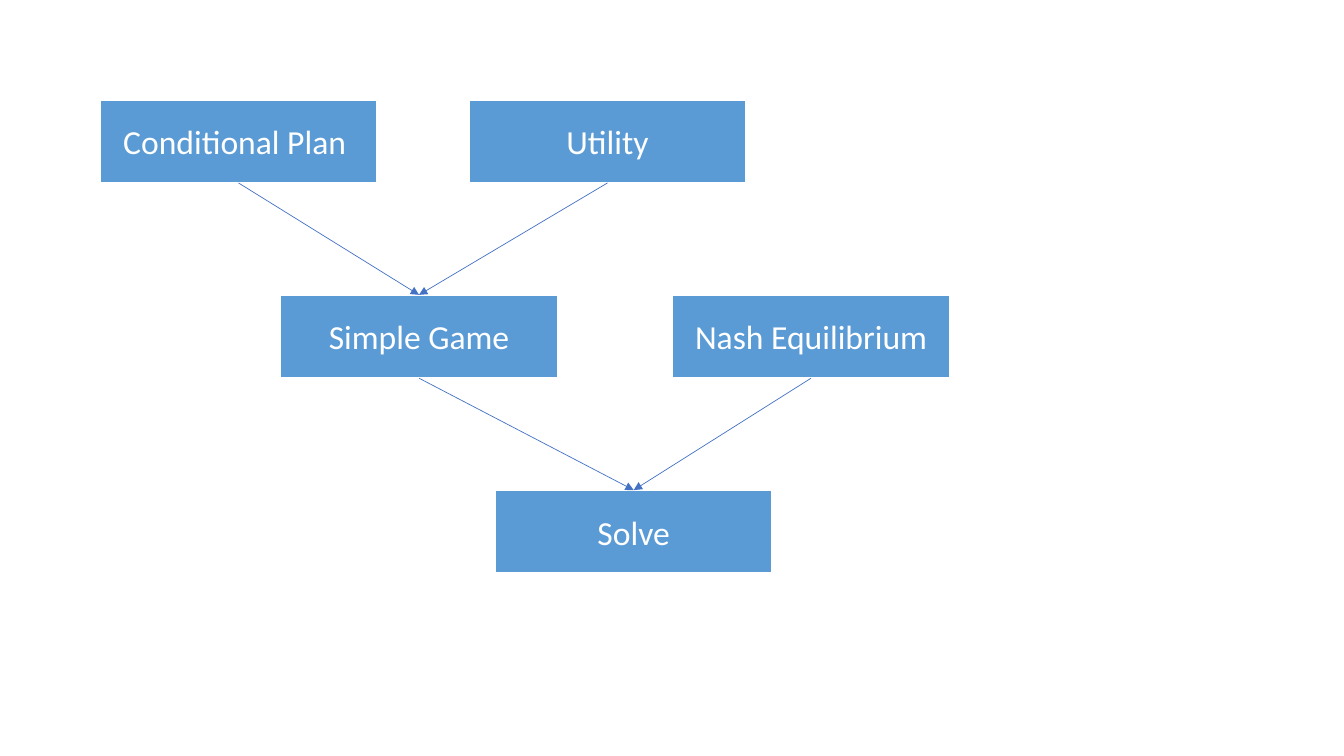
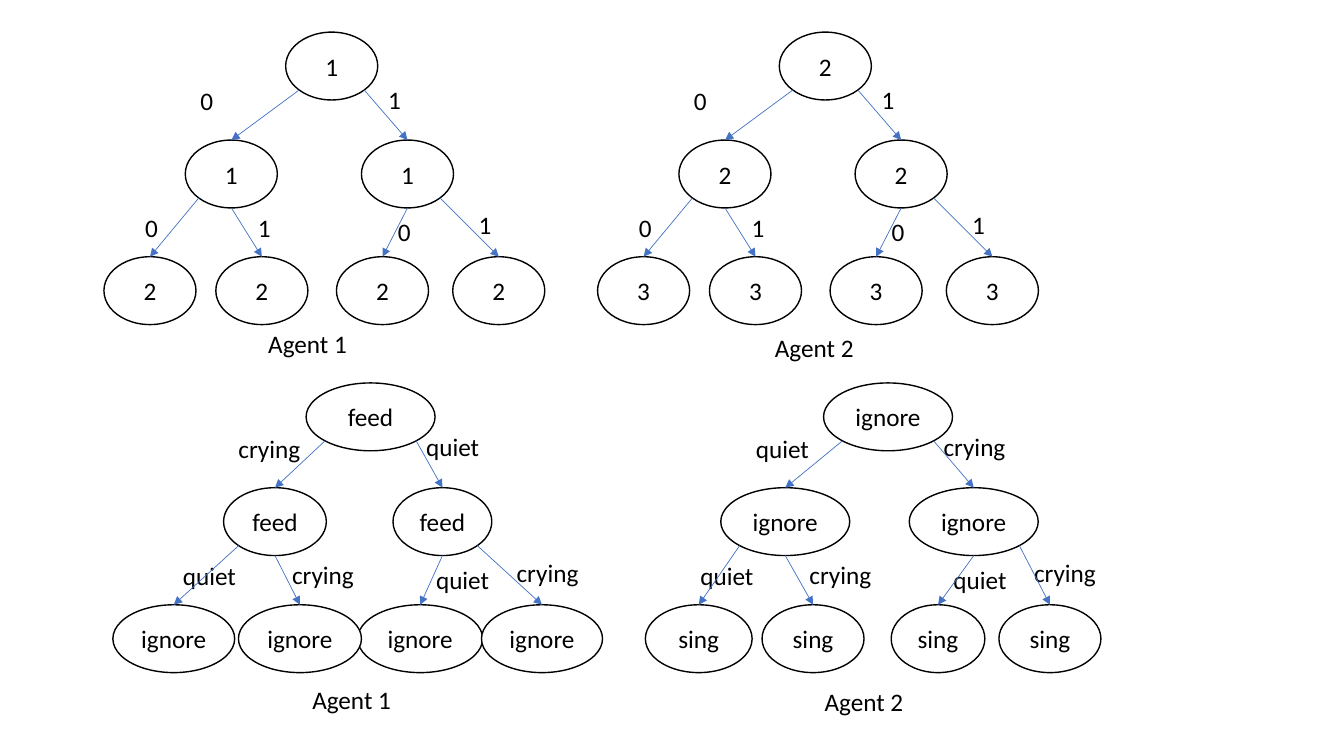
from math import sqrt

from pptx import Presentation
from pptx import util as u
from pptx.dml.color import RGBColor
from pptx.enum import shapes, text
from pptx.oxml import parse_xml
from pptx.oxml.ns import nsdecls

FONT = "Calibri"
WHITE, BLACK, BLUE, EDGE = "FFFFFF", "000000", "5B9BD5", "4472C4"
RECT, OVAL = shapes.MSO_SHAPE.RECTANGLE, shapes.MSO_SHAPE.OVAL


def tint(part, code):
    part.rgb = RGBColor.from_string(code)


def write(frame, words, size=18, color=BLACK, align=text.PP_ALIGN.LEFT,
          anchor=text.MSO_ANCHOR.TOP):
    frame.word_wrap = True
    frame.vertical_anchor = anchor
    para = frame.paragraphs[0]
    para.alignment = align
    run = para.add_run()
    run.text = words
    run.font.name, run.font.size = FONT, u.Pt(size)
    tint(run.font.color, color)


def label(slide, words, left, top):
    box = slide.shapes.add_textbox(u.Cm(left), u.Cm(top), u.Cm(3), u.Cm(1.03))
    write(box.text_frame, words)


def node(slide, kind, words, left, top, wide, high, fill, line, weight, **form):
    shape = slide.shapes.add_shape(
        kind, u.Cm(left), u.Cm(top), u.Cm(wide), u.Cm(high))
    shape.shadow.inherit = False
    shape.fill.solid()
    tint(shape.fill.fore_color, fill)
    tint(shape.line.color, line)
    shape.line.width = u.Pt(weight)
    write(shape.text_frame, words, align=text.PP_ALIGN.CENTER,
          anchor=text.MSO_ANCHOR.MIDDLE, **form)
    return shape


def link(slide, start, end, side=0, site=2):
    """Arrow to the top of end; side -1, 0, 1 leaves start lower left, bottom, lower right."""
    reach = 1 / sqrt(2) if side else 1
    x = start.left + start.width / 2 * (1 + side * reach)
    y = start.top + start.height / 2 * (1 + reach)
    line = slide.shapes.add_connector(
        shapes.MSO_CONNECTOR.STRAIGHT, int(x), int(y),
        end.left + end.width // 2, end.top)
    tint(line.line.color, EDGE)
    line.line.width = u.Pt(0.5)
    prop = line._element.spPr
    prop.find(".//{*}ln").append(
        parse_xml(f'<a:tailEnd {nsdecls("a")} type="triangle"/>'))
    prop.append(parse_xml(f'<a:effectLst {nsdecls("a")}/>'))
    # Glue both ends
    glue = line._element.nvCxnSpPr.cNvCxnSpPr
    for tip, shape, spot in ((glue.get_or_add_stCxn(), start, site),
                             (glue.get_or_add_endCxn(), end, 0)):
        tip.id, tip.idx = shape.shape_id, spot


def flow(slide, left, top):
    # Words, column offset, row
    steps = [("Conditional Plan ", 0, 0), ("Utility", 9.3, 0),
             ("Simple Game", 4.55, 1), ("Nash Equilibrium", 14.43, 1),
             ("Solve", 9.96, 2)]
    boxes = [node(slide, RECT, words, left + x, top + 4.92 * row, 7, 2.1,
                  BLUE, WHITE, 1.5, size=24, color=WHITE)
             for words, x, row in steps]
    for start, end in ((0, 2), (1, 2), (3, 4), (2, 4)):
        link(slide, boxes[start], boxes[end])


# Tree nodes: 0 root, 1-2 middle, 3-6 leaves; later ones lie on top
ORDER = (0, 2, 5, 6, 1, 3, 4)
LINKS = ((0, 1, -1), (0, 2, 1), (1, 3, -1), (1, 4, 0), (2, 5, 0), (2, 6, 1))


def tree(slide, left, top, rows, mids, wides, words, spots, marks, name, foot):
    for mark, (x, y) in zip(marks, spots):
        label(slide, mark, left + x, top + y)
    # Nodes, one row per level
    ovals = {}
    for i in ORDER:
        level = (i + 1).bit_length() - 1
        ovals[i] = node(slide, OVAL, words[level], left + mids[i] - wides[i] / 2,
                        top + rows[level], wides[i], 1.71, WHITE, BLACK, 1)
    for start, end, side in LINKS:
        link(slide, ovals[start], ovals[end], side, 4 + side)
    label(slide, name, left + foot[0], top + foot[1])


def trees(slide):
    # Numbered trees
    mids, wides = (5.74, 3.21, 7.65, 1.16, 3.98, 7.02, 9.95), [2.32] * 7
    spots = ((2.18, 1.22), (6.91, 1.19), (0.79, 4.42),
             (3.63, 4.42), (7.16, 4.52), (9.19, 4.34))
    for left, words, name, foot in (
            (2.62, "112", "Agent 1", (3.89, 7.34)),
            (15.06, "223", "Agent 2", (4.22, 7.44))):
        tree(slide, left, 0.81, (0, 2.72, 5.66), mids, wides, words,
             spots, "010101", name, foot)
    # Named trees
    spots = ((2.92, 1.14), (7.65, 1.09), (1.52, 4.34),
             (4.27, 4.32), (7.9, 4.45), (9.93, 4.27))
    low = ["quiet", "crying"] * 2
    for left, mids, wides, words, high, name, foot in (
            (2.84, (6.5, 4.09, 8.31, 1.54, 4.72, 7.75, 10.82),
             (3.25, 2.59, 2.49, 3.07, 3.1, 3.15, 3.05),
             ("feed", "feed", "ignore"), ["crying", "quiet"],
             "Agent 1", (4.78, 7.47)),
            (15.88, (6.5, 3.91, 8.66, 1.73, 4.61, 7.76, 10.58),
             (3.25, 3.25, 3.25, 2.69, 2.57, 2.36, 2.57),
             ("ignore", "ignore", "sing"), ["quiet", "crying"],
             "Agent 2", (4.65, 7.52))):
        tree(slide, left, 9.65, (0, 2.64, 5.59), mids, wides, words,
             spots, high + low, name, foot)


def main():
    deck = Presentation()
    deck.slide_width, deck.slide_height = u.Cm(33.87), u.Cm(19.05)
    blank = deck.slide_layouts[6]
    flow(deck.slides.add_slide(blank), 2.51, 2.51)
    trees(deck.slides.add_slide(blank))
    deck.save("out.pptx")


if __name__ == "__main__":
    main()
